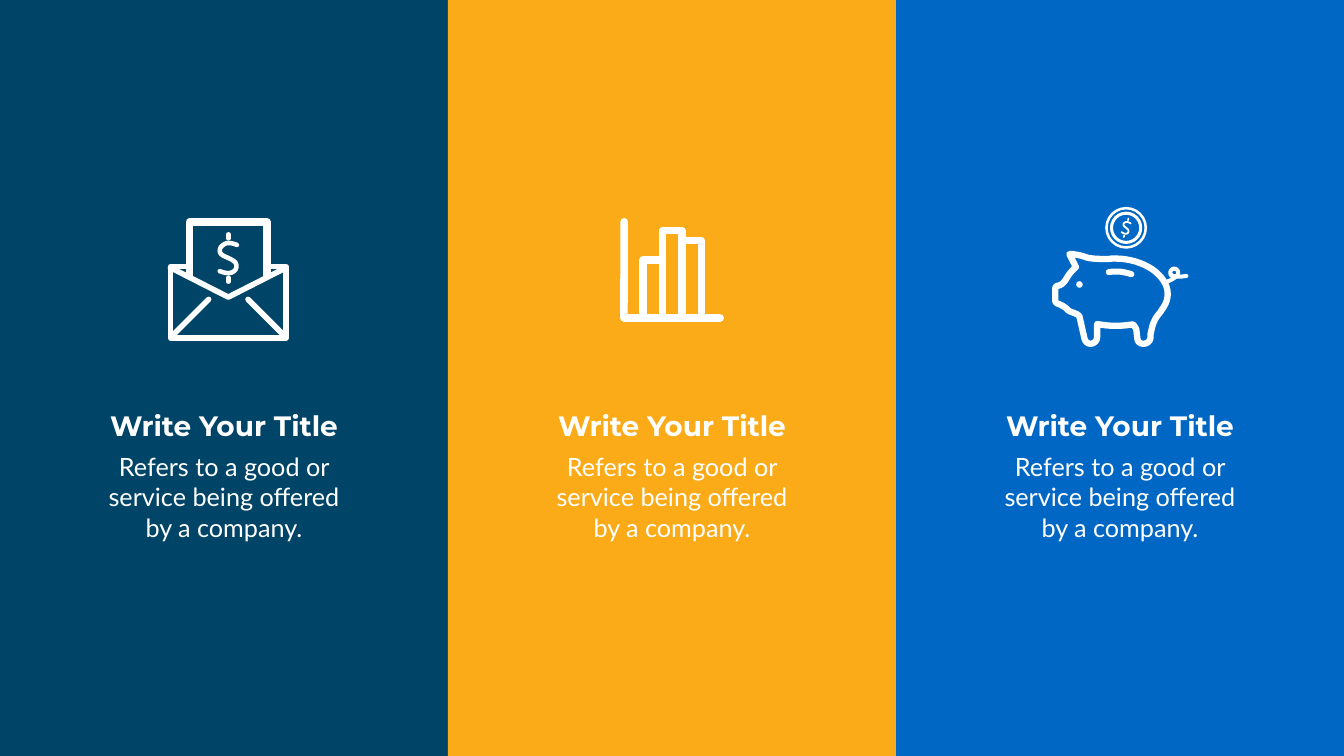
import math
from dataclasses import dataclass

from lxml import etree
from pptx import Presentation
from pptx import util as u
from pptx.dml.color import RGBColor
from pptx.enum import shapes, text
from pptx.oxml.ns import qn


@dataclass(frozen=True)
class Theme:
    white: str = "FFFFFF"
    title_font: str = "Montserrat"
    title_size: int = 40
    body_font: str = "Lato"
    body_size: int = 36


THEME = Theme()
SLIDE_WIDTH, SLIDE_HEIGHT = u.Cm(67.72), u.Cm(38.1)
UNIT = u.Cm(0.0254)  # grid step of the icon drawings
CURVE_STEPS = 8

# A stroke is (width, closed, path). After its start point, a path holds
# line ends (x, y) and cubic curves (x1, y1, x2, y2, x, y).
# Icons are measured from the left edge of their panel and the slide top.
DOLLAR = [
    (9, False, [(17, -26), (5, -31, -5, -31, -10, -26), (-15, -23, -17, -19, -17, -14),
                (-17, -6, -6, -3, 0, 0), (9, 4, 16, 8, 16, 15),
                (16, 20, 15, 24, 10, 27), (3, 32, -7, 30, -17, 26)]),
    (9, False, [(0, -47), (0, -39)]),
    (9, False, [(0, 39), (0, 47)]),
]

ENVELOPE = [
    (11, False, [(376, 529), (338.5, 529), (338.5, 670.5), (567.5, 670.5),
                 (567.5, 529), (529, 529)]),
    (11, False, [(338, 531), (453, 589.5), (568, 531)]),
    (11, False, [(567, 669), (492, 594)]),
    (11, False, [(341, 667), (414, 594)]),
    (15, False, [(376, 546), (376, 440.5), (529.5, 440.5), (529.5, 546)]),
]

BAR_TOPS = [516, 457.5, 477.5]
BAR_LEFT, BAR_PITCH, BASELINE = 387, 38.5, 631
BAR_CHART = [(15, False, [(349.5, 440), (349, BASELINE), (540, BASELINE)])] + [
    (15, True, [(left, BASELINE), (left, top),
                (left + BAR_PITCH, top), (left + BAR_PITCH, BASELINE)])
    for left, top in ((BAR_LEFT + i * BAR_PITCH, top) for i, top in enumerate(BAR_TOPS))
]

PIG_BODY = [
    (479, 673), (480, 679, 485, 682, 491, 682), (499, 682, 505, 676, 505, 669),
    (505, 664, 505, 661, 506, 659), (507, 654, 508, 649, 509, 646),
    (513, 634, 517, 628, 523, 621), (525, 619, 526, 617, 527, 615),
    (535, 605, 539, 594, 539, 583), (539, 565, 528, 548, 508, 534),
    (488, 521, 463, 513, 435, 513), (430, 513, 426, 513, 421, 514),
    (415, 514, 388, 514, 379, 511), (371, 508, 357, 504, 344, 504), (357, 530),
    (348, 538, 343, 544, 338, 553), (333, 561, 328, 566, 321, 567),
    (318, 567, 316, 570, 316, 573), (316, 596), (316, 599, 318, 601, 320, 602),
    (327, 605, 333, 607, 340, 614), (344, 620, 361, 621, 364, 628), (374, 672),
    (376, 679, 381, 682, 386, 682), (393, 682, 399, 676, 399, 669), (399, 643),
    (411, 645, 423, 646.5, 435, 646.5), (447, 646.5, 458, 645.5, 470, 643.5),
    (474, 648, 477, 652, 477, 656),
]
PIGGY_BANK = [
    (12.5, True, PIG_BODY),
    (12, False, [(422, 540), (426, 539, 438, 538.5, 444, 539), (453, 540, 460, 542, 467, 544)]),
    (8, False, [(532, 561), (541, 558, 551, 554, 557, 547)]),
    (8, False, [(545, 545), (553, 551, 565, 549, 576, 547.5)]),
]

# Circles are (centre x, centre y, diameter, line width); width 0 means filled.
# Dollar signs are (centre x, centre y, scale, clockwise turn in degrees).
TITLE = "Write Your Title"
BODY = "Refers to a good or service being offered by a company."
PANELS = [
    {"color": "004467", "title": TITLE, "body": BODY, "strokes": ENVELOPE,
     "circles": [], "dollars": [(453, 512, 1, 0)]},
    {"color": "FAAB17", "title": TITLE, "body": BODY, "strokes": BAR_CHART,
     "circles": [], "dollars": []},
    {"color": "0068C4", "title": TITLE, "body": BODY, "strokes": PIGGY_BANK,
     "circles": [(364, 564.5, 13, 0), (552, 541, 16, 8),
                 (456.5, 452, 78, 5), (456.5, 452, 58, 6)],
     "dollars": [(456.5, 452, 0.4, 14)]},
]


def rgb(color):
    return RGBColor.from_string(color)


def flatten(path):
    """Turn lines and cubic curves into a plain list of points."""
    points = [path[0]]
    for step in path[1:]:
        if len(step) == 2:
            points.append(step)
            continue
        corners = [points[-1], step[0:2], step[2:4], step[4:6]]
        for i in range(1, CURVE_STEPS + 1):
            t = i / CURVE_STEPS
            weights = [(1 - t) ** 3, 3 * t * (1 - t) ** 2, 3 * t * t * (1 - t), t ** 3]
            points.append(tuple(sum(w * c[axis] for w, c in zip(weights, corners))
                                for axis in (0, 1)))
    return points


def style_line(shape, width):
    """Give a white line with round ends and joins, and no shadow."""
    shape.line.color.rgb = rgb(THEME.white)
    shape.line.width = round(width * UNIT)
    properties = shape._element.spPr
    line = properties.find(qn("a:ln"))
    line.set("cap", "rnd")
    etree.SubElement(line, qn("a:round"))
    if properties.find(qn("a:effectLst")) is None:
        etree.SubElement(properties, qn("a:effectLst"))


def draw_stroke(slide, stroke, left, center=(0, 0), scale=1, turn=0):
    width, closed, path = stroke
    cos, sin = math.cos(math.radians(turn)), math.sin(math.radians(turn))
    points = [(left + round((center[0] + scale * (x * cos - y * sin)) * UNIT),
               round((center[1] + scale * (x * sin + y * cos)) * UNIT))
              for x, y in flatten(path)]
    if len(points) == 2:
        shape = slide.shapes.add_connector(shapes.MSO_CONNECTOR.STRAIGHT, *points[0], *points[1])
    else:
        builder = slide.shapes.build_freeform(*points[0])
        builder.add_line_segments(points[1:], close=closed)
        shape = builder.convert_to_shape()
        shape.fill.background()
    style_line(shape, width * scale)


def draw_circle(slide, circle, left):
    x, y, diameter, width = circle
    size = round(diameter * UNIT)
    shape = slide.shapes.add_shape(
        shapes.MSO_SHAPE.OVAL, left + round((x - diameter / 2) * UNIT),
        round((y - diameter / 2) * UNIT), size, size)
    shape.shadow.inherit = False
    if width:
        shape.fill.background()
        style_line(shape, width)
    else:
        shape.fill.solid()
        shape.fill.fore_color.rgb = rgb(THEME.white)
        shape.line.fill.background()


def add_label(slide, content, center, top, width, height, margins, font, size, bold):
    box = slide.shapes.add_textbox(center - width // 2, top, width, height)
    frame = box.text_frame
    frame.word_wrap = True
    frame.auto_size = text.MSO_AUTO_SIZE.SHAPE_TO_FIT_TEXT
    frame.margin_left = frame.margin_right = margins[0]
    frame.margin_top = frame.margin_bottom = margins[1]
    paragraph = frame.paragraphs[0]
    paragraph.alignment = text.PP_ALIGN.CENTER
    run = paragraph.add_run()
    run.text = content
    run.font.name, run.font.size, run.font.bold = font, u.Pt(size), bold
    run.font.color.rgb = rgb(THEME.white)


def add_panel(slide, panel, left, width):
    background = slide.shapes.add_shape(
        shapes.MSO_SHAPE.RECTANGLE, left, 0, width, SLIDE_HEIGHT)
    background.shadow.inherit = False
    background.fill.solid()
    background.fill.fore_color.rgb = rgb(panel["color"])
    background.line.fill.background()
    for stroke in panel["strokes"]:
        draw_stroke(slide, stroke, left)
    for circle in panel["circles"]:
        draw_circle(slide, circle, left)
    for x, y, scale, turn in panel["dollars"]:
        for stroke in DOLLAR:
            draw_stroke(slide, stroke, left, (x, y), scale, turn)
    center = left + width // 2
    add_label(slide, panel["title"], center, u.Cm(20.47), u.Cm(13.39), u.Cm(1.96),
              (u.Cm(0.25), u.Cm(0.13)), THEME.title_font, THEME.title_size, True)
    add_label(slide, panel["body"], center, u.Cm(22.45), u.Cm(13.79), u.Cm(5.23),
              (u.Cm(0.61), u.Cm(0.3)), THEME.body_font, THEME.body_size, False)


def main():
    presentation = Presentation()
    presentation.slide_width, presentation.slide_height = SLIDE_WIDTH, SLIDE_HEIGHT
    slide = presentation.slides.add_slide(presentation.slide_layouts[6])
    width = SLIDE_WIDTH // len(PANELS)
    for i, panel in enumerate(PANELS):
        add_panel(slide, panel, i * width, width)
    presentation.save("out.pptx")


if __name__ == "__main__":
    main()
